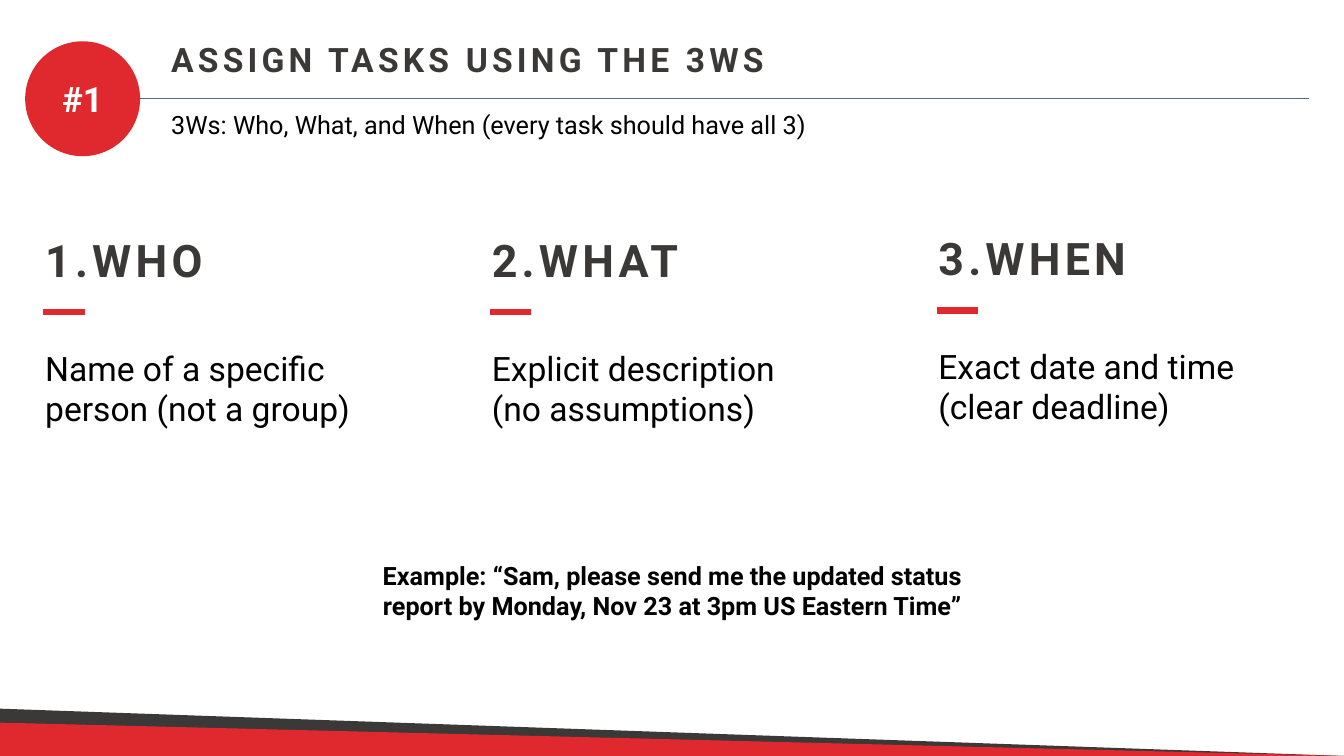
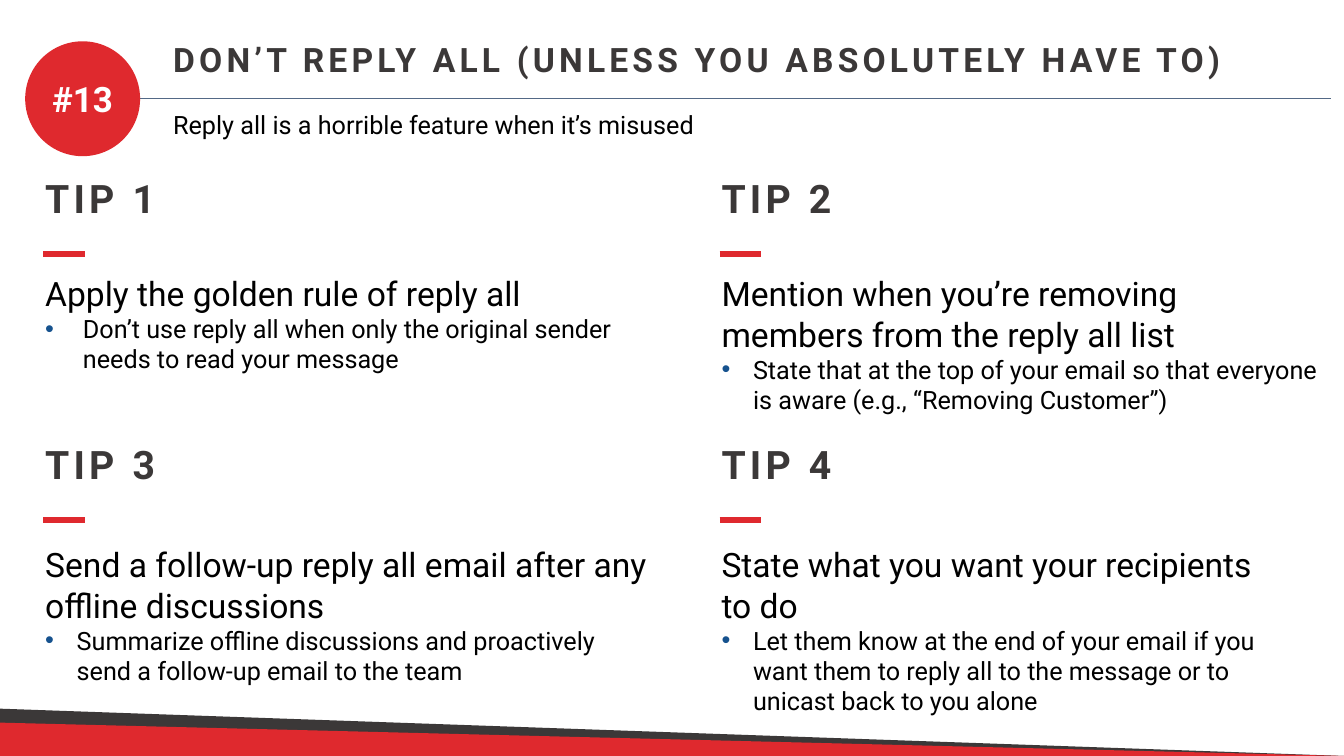
"""Build two meeting-etiquette slides with a shared header, section blocks and footer."""
from lxml import etree
from pptx import Presentation
from pptx.dml.color import RGBColor
from pptx.enum.shapes import MSO_CONNECTOR, MSO_SHAPE
from pptx.enum.text import MSO_ANCHOR, MSO_AUTO_SIZE, PP_ALIGN
from pptx.oxml.ns import qn
from pptx.util import Pt

STRAIGHT = MSO_CONNECTOR.STRAIGHT
TRIANGLE, OVAL = MSO_SHAPE.ISOSCELES_TRIANGLE, MSO_SHAPE.OVAL
MIDDLE, FIT_SHAPE = MSO_ANCHOR.MIDDLE, MSO_AUTO_SIZE.SHAPE_TO_FIT_TEXT
LEFT, CENTER = PP_ALIGN.LEFT, PP_ALIGN.CENTER

COLORS = {
    "red": "DF292E", "charcoal": "3B3838", "slate": "536986",
    "blue": "16528E", "black": "000000", "white": "FFFFFF",
}
STYLES = {
    "title": {"size": 24, "bold": True, "color": "charcoal", "spacing": 3},
    "subtitle": {"size": 18, "bold": False, "color": "black"},
    "badge": {"size": 25, "bold": True, "color": "white"},
    "section": {"size": 32, "bold": True, "color": "charcoal", "spacing": 3},
    "tip": {"size": 28, "bold": True, "color": "charcoal", "spacing": 3},
    "body": {"size": 24, "bold": False, "color": "black"},
    "bullet": {"size": 18, "bold": False, "color": "black"},
    "example": {"size": 18, "bold": True, "color": "black"},
}
SLIDE_WIDTH, SLIDE_HEIGHT = 960, 540
MARGIN = 25.2
COLUMN_PITCH, TIP_PITCH = 319, 483.1
TIP_ROWS = (121, 311)
RULE_INSET, RULE_LENGTH, RULE_DROP = 5.8, 29.5, 60.4

SLIDES = [
    {
        "badge": "#1",
        "title": ("ASSIGN TASKS USING THE 3WS", 454.3),
        "subtitle": ("3Ws: Who, What, and When (every task should have all 3)", 469.4),
        "header_left": 115.2,
        "line": (MARGIN, 935.3),
        "heading": ("section", 46),
        "blocks": [
            {"heading": ("1.WHO", 139), "at": (MARGIN, 162.7), "drop": 82.1,
             "size": (272.2, 65.5), "body": ["Name of a specific person (not a group)"]},
            {"heading": ("2.WHAT", 156.2), "at": (MARGIN + COLUMN_PITCH, 162.7), "drop": 82.1,
             "size": (272.2, 65.5), "body": ["Explicit description\v(no assumptions)"]},
            {"heading": ("3.WHEN", 159.8), "at": (MARGIN + 2 * COLUMN_PITCH, 161.3), "drop": 82.1,
             "size": (272.2, 65.5), "body": ["Exact date and time", "(clear deadline)"]},
        ],
        "example": "Example: “Sam, please send me the updated status report "
                   "by Monday, Nov 23 at 3pm US Eastern Time”",
    },
    {
        "badge": "#13",
        "title": ("DON’T REPLY ALL (UNLESS YOU ABSOLUTELY HAVE TO)", 791.3),
        "subtitle": ("Reply all is a horrible feature when it’s misused", 391),
        "header_left": 116.6,
        "line": (40.3, 950.4),
        "heading": ("tip", 41),
        "blocks": [
            {"heading": ("TIP 1", 96), "at": (MARGIN, TIP_ROWS[0]), "drop": 70.6,
             "size": (421.9, 79.9), "body": ["Apply the golden rule of reply all"], "indent": 27,
             "bullet": "Don’t use reply all when only the original sender needs to read your message"},
            {"heading": ("TIP 2", 96), "at": (MARGIN + TIP_PITCH, TIP_ROWS[0]), "drop": 70.6,
             "size": (442.8, 131), "indent": 22.5,
             "body": ["Mention when you’re removing members from the reply all list"],
             "bullet": "State that at the top of your email so that everyone is aware "
                       "(e.g., “Removing Customer”)"},
            {"heading": ("TIP 3", 96), "at": (MARGIN, TIP_ROWS[1]), "drop": 74.2,
             "size": (450, 108.7), "indent": 22.5,
             "body": ["Send a follow-up reply all email after any offline discussions"],
             "bullet": "Summarize offline discussions and proactively send a follow-up email to the team"},
            {"heading": ("TIP 4", 96), "at": (MARGIN + TIP_PITCH, TIP_ROWS[1]), "drop": 74.2,
             "size": (416.9, 159.8), "indent": 22.5,
             "body": ["State what you want your recipients to do"],
             "bullet": "Let them know at the end of your email if you want them to reply all "
                       "to the message or to unicast back to you alone"},
        ],
    },
]


def write_text(shape, lines, wrap=True, align=LEFT, indent=0):
    """Write (text, style name) lines as formatted paragraphs."""
    frame = shape.text_frame
    frame.word_wrap = wrap
    for index, (text, style_name) in enumerate(lines):
        style = STYLES[style_name]
        paragraph = frame.add_paragraph() if index else frame.paragraphs[0]
        paragraph.text = text
        paragraph.alignment = align
        if style_name == "bullet":
            properties = paragraph._p.get_or_add_pPr()
            properties.set("marL", str(Pt(indent)))
            properties.set("indent", str(-Pt(indent)))
            color = etree.SubElement(properties, qn("a:buClr"))
            etree.SubElement(color, qn("a:srgbClr"), val=COLORS["blue"])
            etree.SubElement(properties, qn("a:buFont"), typeface="Arial")
            etree.SubElement(properties, qn("a:buChar"), char="•")
        for run in paragraph.runs:
            formats = {"name": "Roboto", "size": Pt(style["size"]), "bold": style["bold"]}
            for attribute, value in formats.items():
                setattr(run.font, attribute, value)
            run.font.color.rgb = RGBColor.from_string(COLORS[style["color"]])
            if "spacing" in style:
                run._r.get_or_add_rPr().set("spc", str(style["spacing"] * 100))


def add_line(slide, start, end, top, color, width):
    """Draw a horizontal line without a shadow."""
    line = slide.shapes.add_connector(STRAIGHT, Pt(start), Pt(top), Pt(end), Pt(top))
    line.line.color.rgb = RGBColor.from_string(COLORS[color])
    line.line.width = Pt(width)
    etree.SubElement(line._element.spPr, qn("a:effectLst"))


presentation = Presentation()
presentation.slide_width, presentation.slide_height = Pt(SLIDE_WIDTH), Pt(SLIDE_HEIGHT)

for content in SLIDES:
    slide = presentation.slides.add_slide(presentation.slide_layouts[6])
    add_line(slide, *content["line"], 70.6, "slate", 0.5)

    shapes = []
    for kind, left, top, width, height, color in (
        (TRIANGLE, 0, 506.2, SLIDE_WIDTH, 33.8, "charcoal"),
        (TRIANGLE, 0, 516.2, SLIDE_WIDTH, 23.8, "red"),
        (OVAL, 18, 29.5, 82.1, 82.1, "red"),
    ):
        shape = slide.shapes.add_shape(kind, Pt(left), Pt(top), Pt(width), Pt(height))
        shape.shadow.inherit = False
        shape.fill.solid()
        shape.fill.fore_color.rgb = RGBColor.from_string(COLORS[color])
        shape.line.fill.background()
        if kind == TRIANGLE:
            shape.adjustments[0] = 0
        shapes.append(shape)
    badge = shapes[-1]
    badge.text_frame.vertical_anchor = MIDDLE
    write_text(badge, [(content["badge"], "badge")], align=CENTER)

    header_left = content["header_left"]
    title, title_width = content["title"]
    subtitle, subtitle_width = content["subtitle"]
    boxes = [
        (header_left, 24.5, title_width, 36, [(title, "title")], {"wrap": False}),
        (header_left, 74.9, subtitle_width, 28.8, [(subtitle, "subtitle")], {"wrap": False}),
    ]
    heading_style, heading_height = content["heading"]
    for block in content["blocks"]:
        left, top = block["at"]
        heading, heading_width = block["heading"]
        lines = [(text, "body") for text in block["body"]]
        if "bullet" in block:
            lines.append((block["bullet"], "bullet"))
        boxes += [
            (left, top, heading_width, heading_height, [(heading, heading_style)], {"wrap": False}),
            (left, top + block["drop"], *block["size"], lines, {"indent": block.get("indent", 0)}),
        ]
        rule_left = left + RULE_INSET
        add_line(slide, rule_left, rule_left + RULE_LENGTH, top + RULE_DROP, "red", 4.5)
    if "example" in content:
        boxes.append((244.8, 396.7, 470.9, 51.1, [(content["example"], "example")], {"align": CENTER}))

    for left, top, width, height, lines, options in boxes:
        box = slide.shapes.add_textbox(Pt(left), Pt(top), Pt(width), Pt(height))
        box.text_frame.auto_size = FIT_SHAPE
        write_text(box, lines, **options)

presentation.save("out.pptx")
